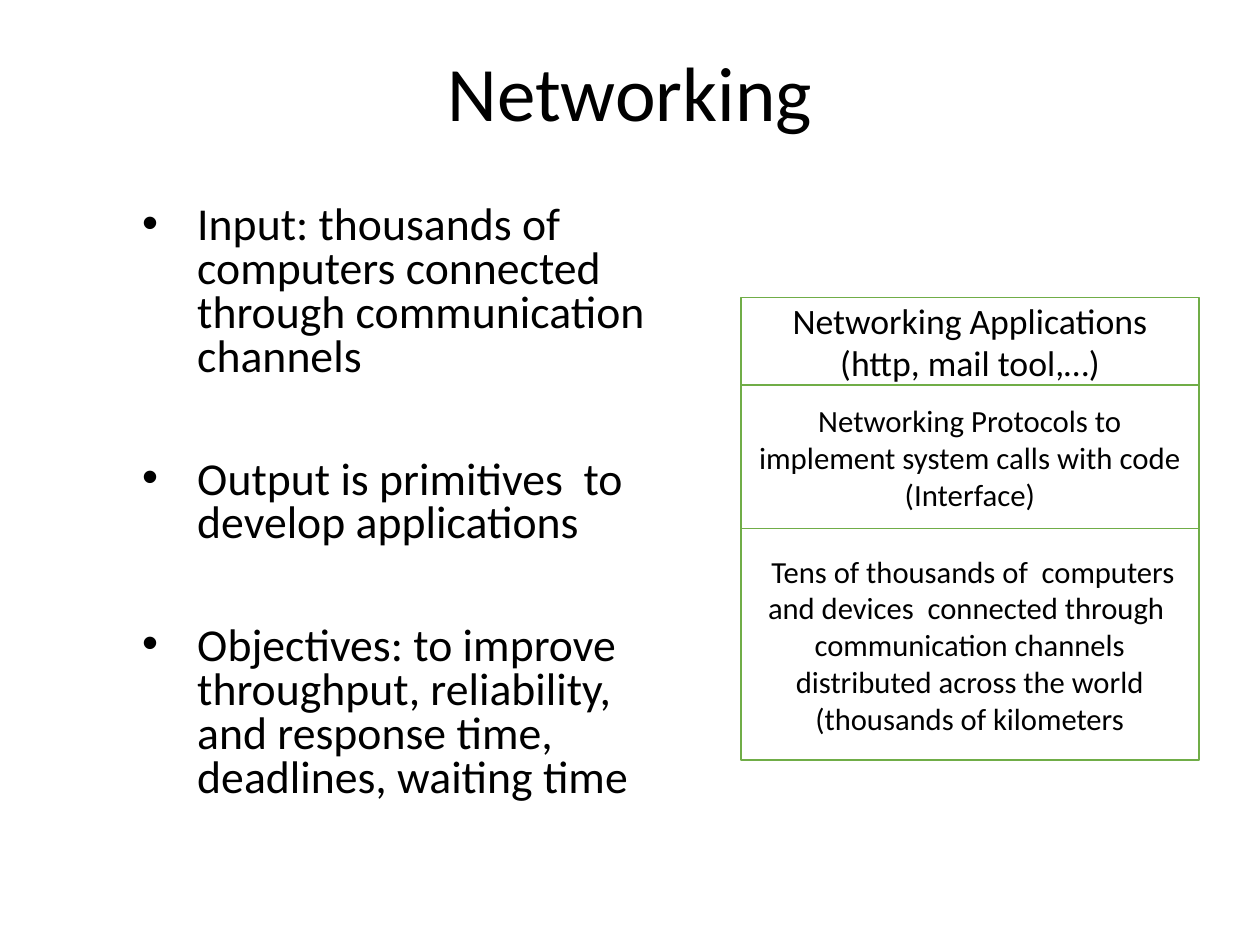
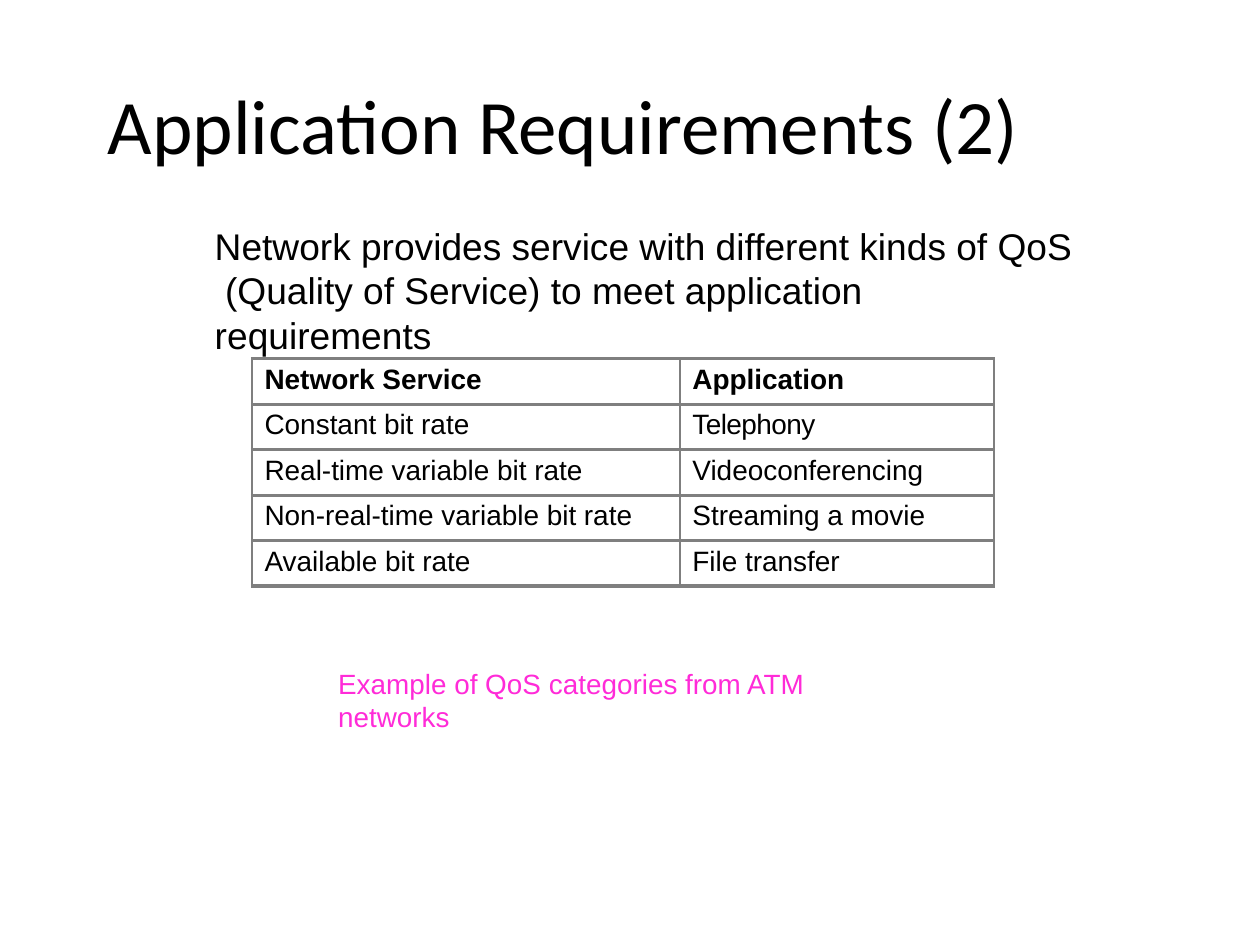
from lxml import etree
from pptx import Presentation
from pptx.dml.color import RGBColor
from pptx.enum import shapes, text
from pptx.oxml.ns import qn
from pptx.util import Pt

BLACK, WHITE, GREEN, GREY, PINK = "000000", "FFFFFF", "70AD47", "7F7F7F", "FF2BD8"
LEFT, CENTER = text.PP_ALIGN.LEFT, text.PP_ALIGN.CENTER
MIDDLE = text.MSO_ANCHOR.MIDDLE

GOALS = [
    "Input: thousands of computers connected through communication channels",
    "Output is primitives  to develop applications",
    "Objectives: to improve throughput, reliability, and response time, deadlines, waiting time",
]
LAYERS = [
    ("Networking Applications (http, mail tool,…)", 20.4, 50),
    ("Networking Protocols to implement system calls with code (Interface)", 17.6, 82),
    (" Tens of thousands of  computers and devices  connected through  communication "
     "channels distributed across the world (thousands of kilometers", 17.5, 132.5),
]
INTRO = ("Network provides service with different kinds of QoS  (Quality of Service) "
         "to meet application requirements")
SERVICES = [
    ("Network Service", "Application"),
    ("Constant bit rate", "Telephony"),
    ("Real-time variable bit rate", "Videoconferencing"),
    ("Non-real-time variable bit rate", "Streaming a movie"),
    ("Available bit rate", "File transfer"),
]
TIGHT = {"Telephony": "-30"}
NOTE = "Example of QoS categories from ATM networks"
EDGES = {"a:lnL": 1.5, "a:lnR": 1.5, "a:lnT": 2.25, "a:lnB": 2.25}


def color(code):
    return RGBColor.from_string(code)


def place(shape, left, top, width, height):
    shape.left, shape.top = Pt(left), Pt(top)
    shape.width, shape.height = Pt(width), Pt(height)


def inset(part, left, top, right, bottom):
    part.margin_left, part.margin_top = Pt(left), Pt(top)
    part.margin_right, part.margin_bottom = Pt(right), Pt(bottom)


def style(para, size, font="Calibri", ink=BLACK, align=LEFT, bold=False):
    para.alignment = align
    para.font.size, para.font.name, para.font.bold = Pt(size), font, bold
    para.font.color.rgb = color(ink)


def start(deck, layout, words, box, align):
    slide = deck.slides.add_slide(deck.slide_layouts[layout])
    title = slide.shapes.title
    place(title, *box)
    frame = title.text_frame
    frame.text = words
    frame.auto_size = text.MSO_AUTO_SIZE.NONE
    frame.vertical_anchor = MIDDLE
    style(frame.paragraphs[0], 44, align=align)
    return slide


def bullets(slide, items, box):
    body = slide.placeholders[1]
    place(body, *box)
    frame = body.text_frame
    frame.text = "\n".join(items)
    frame.auto_size = text.MSO_AUTO_SIZE.NONE
    for i, para in enumerate(frame.paragraphs):
        style(para, 26.1)
        para.line_spacing = 0.8
        para.space_before = Pt(45 if i else 10)
        props = para._p.get_or_add_pPr()
        props.set("marL", str(Pt(31.5)))
        props.set("indent", str(Pt(-31.5)))


def stack(slide, layers, left, top, width):
    for words, size, height in layers:
        box = slide.shapes.add_shape(shapes.MSO_SHAPE.RECTANGLE, 0, 0, 0, 0)
        place(box, left, top, width, height)
        box.shadow.inherit = False
        box.fill.solid()
        box.fill.fore_color.rgb = color(WHITE)
        box.line.color.rgb = color(GREEN)
        box.line.width = Pt(1)
        frame = box.text_frame
        frame.text = words
        frame.word_wrap = True
        frame.vertical_anchor = MIDDLE
        inset(frame, 5, 3, 5, 3)
        style(frame.paragraphs[0], size, align=CENTER)
        top += height


def label(slide, words, box, size, ink):
    area = slide.shapes.add_textbox(0, 0, 0, 0)
    place(area, *box)
    frame = area.text_frame
    frame.text = words
    frame.word_wrap = True
    inset(frame, 0.7, 0.9, 0, 0)
    para = frame.paragraphs[0]
    style(para, size, "Arial", ink)
    para.space_before = Pt(0.9)


def border(cell):
    props = cell._tc.get_or_add_tcPr()
    for tag, width in EDGES.items():
        line = etree.SubElement(props, qn(tag), w=str(Pt(width)))
        fill = etree.SubElement(line, qn("a:solidFill"))
        etree.SubElement(fill, qn("a:srgbClr"), val=GREY)


def grid(slide, rows, left, top, widths, height):
    frame = slide.shapes.add_table(len(rows), len(widths), Pt(left), Pt(top),
                                   Pt(sum(widths)), Pt(height * len(rows)))
    table = frame.table
    table.first_row = table.horz_banding = False
    for col, width in zip(table.columns, widths):
        col.width = Pt(width)
    for r, row in enumerate(rows):
        table.rows[r].height = Pt(height)
        for c, words in enumerate(row):
            cell = table.cell(r, c)
            cell.text = words
            inset(cell, 7.2, 3, 0, 0)
            border(cell)
            cell.fill.background()
            para = cell.text_frame.paragraphs[0]
            style(para, 16, "Arial", bold=r == 0)
            para.space_before = Pt(3)
            if words in TIGHT:
                para.runs[0].font._element.set("spc", TIGHT[words])


def main():
    deck = Presentation()
    deck.slide_width, deck.slide_height = Pt(720), Pt(540)

    net = start(deck, 1, "Networking", (67.5, 22.5, 585, 65), CENTER)
    net.shapes.title.text_frame.paragraphs[0].line_spacing = 0.9
    bullets(net, GOALS, (74, 114, 317.5, 363))
    stack(net, LAYERS, 423.5, 170, 261.5)

    needs = start(deck, 5, "Application Requirements (2)", (61, 43, 588, 54), LEFT)
    inset(needs.shapes.title.text_frame, 0.7, 0.9, 0, 0)
    label(needs, INTRO, (122, 126.5, 494.5, 52.5), 21.2, BLACK)
    grid(needs, SERVICES, 144, 205, (244.5, 179.5), 26)
    label(needs, NOTE, (192.5, 380, 330, 20), 15.9, PINK)

    deck.save("out.pptx")


if __name__ == "__main__":
    main()
